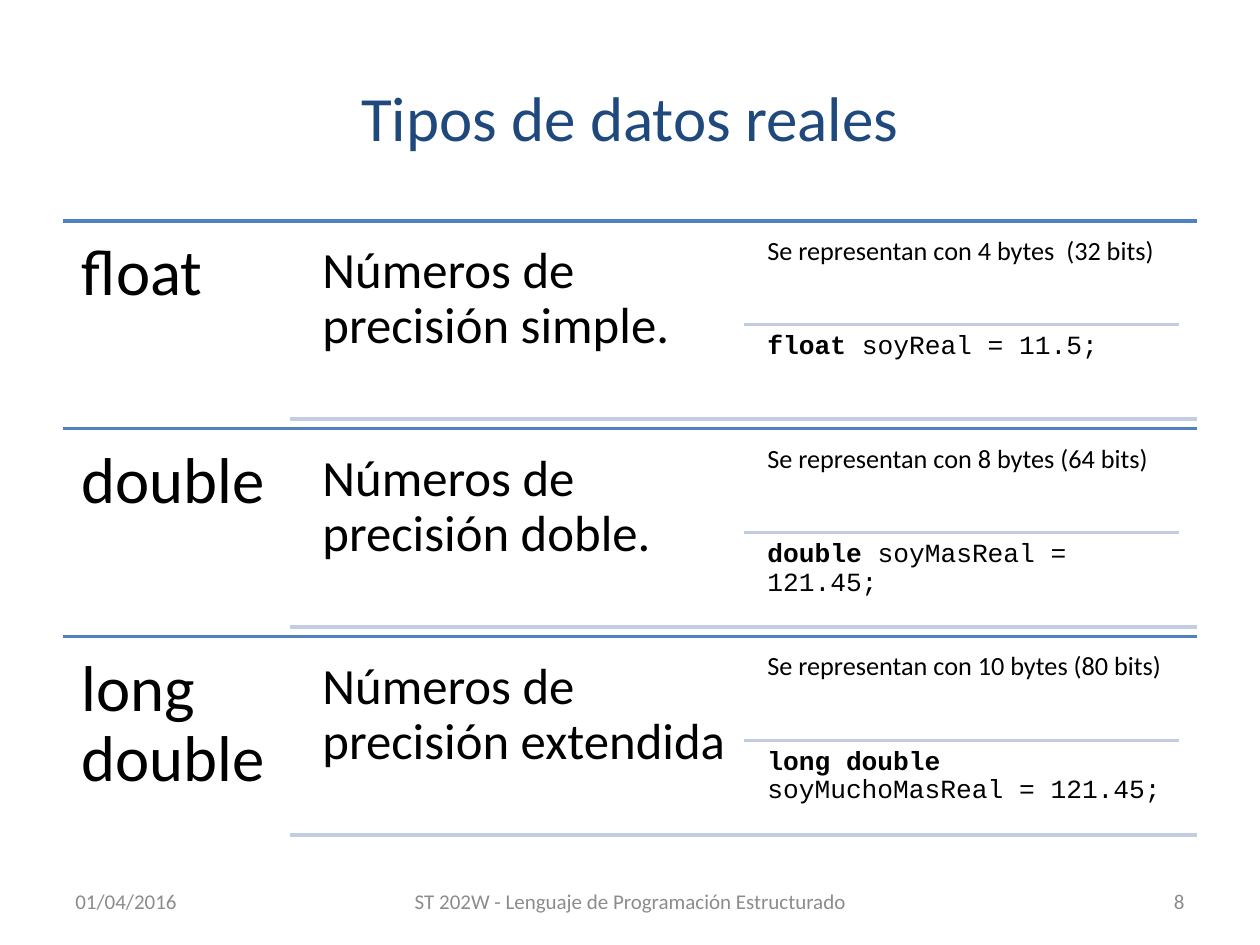
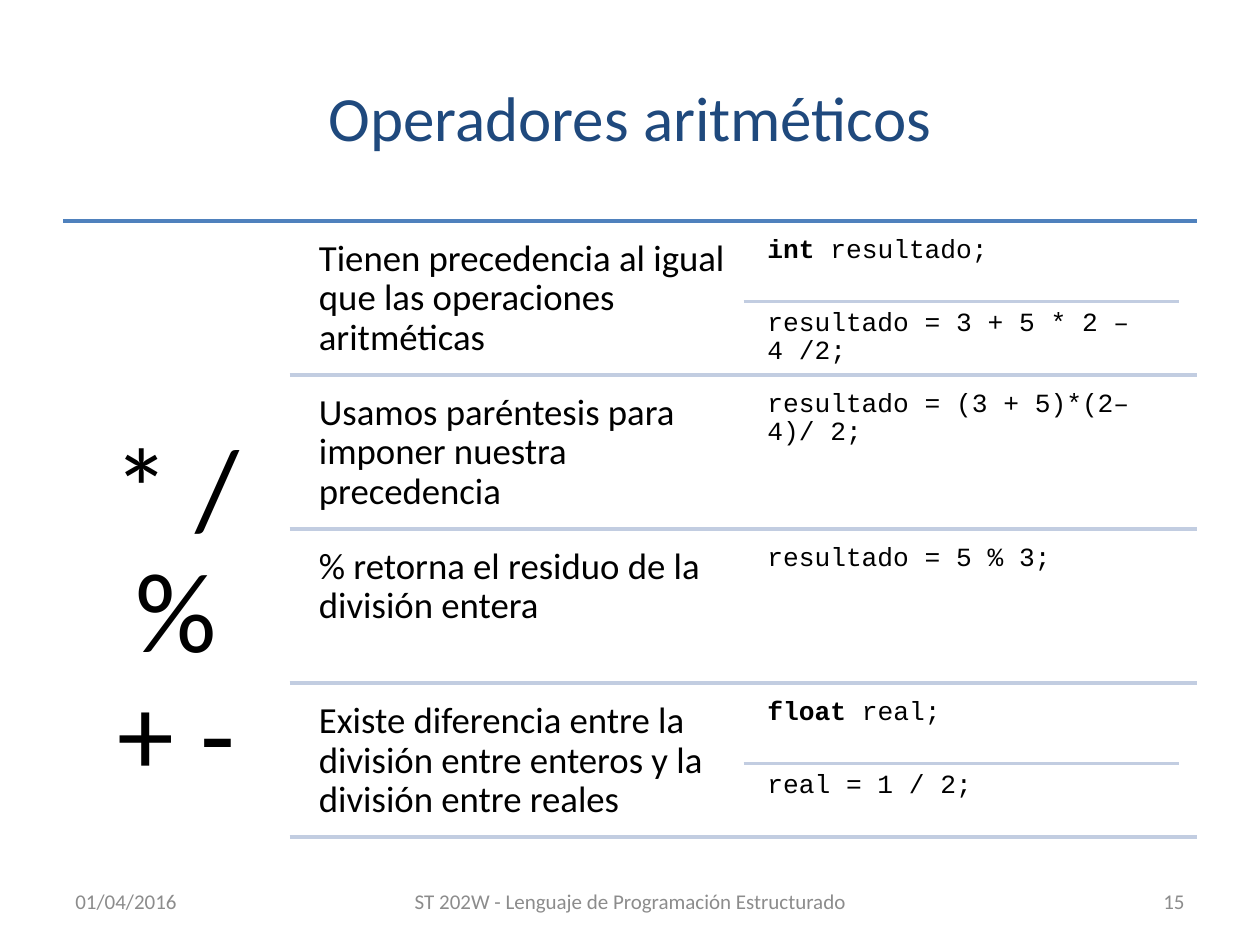
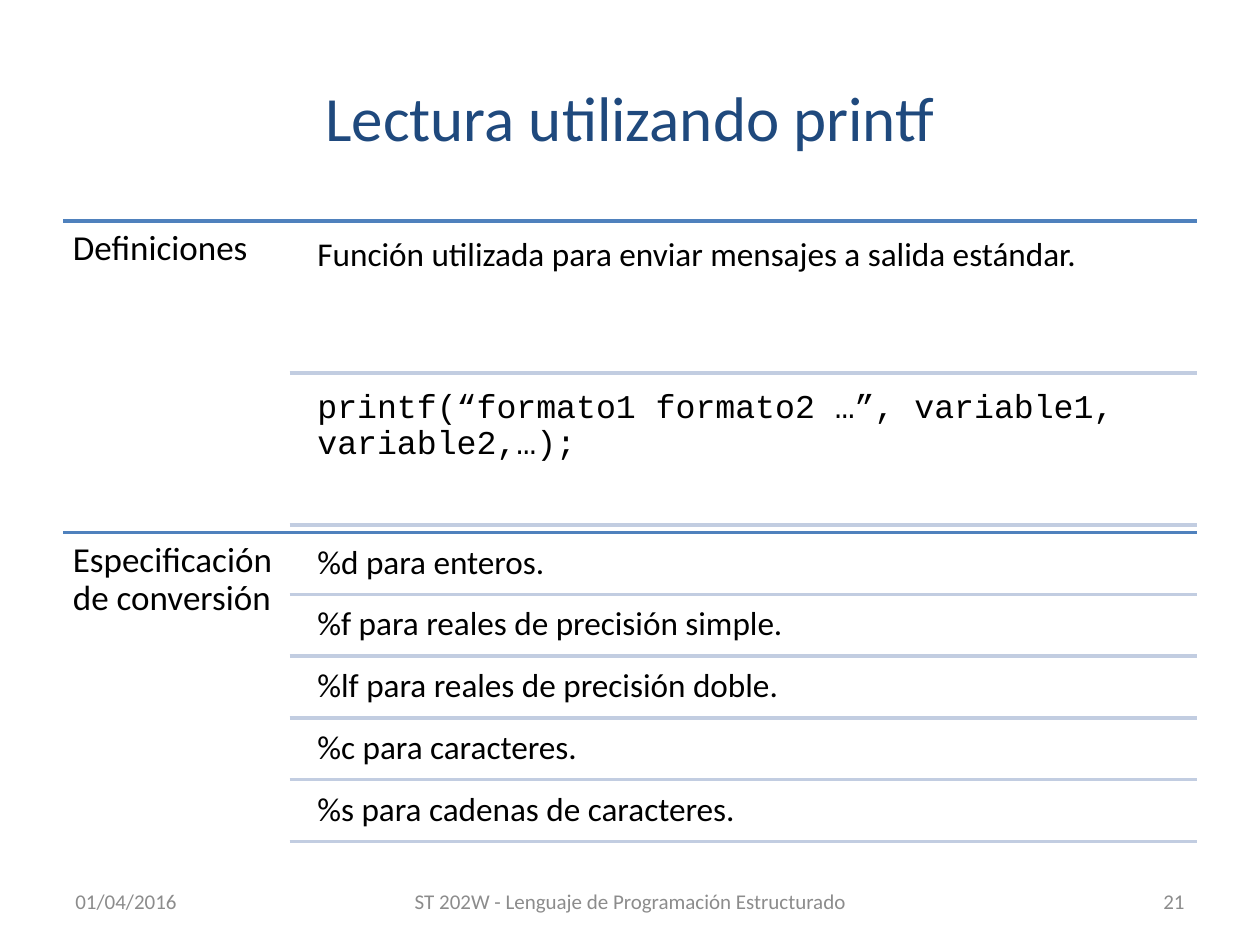
"""Build three slides on C data types, arithmetic operators and printf."""
from lxml import etree
from pptx import Presentation
from pptx import util as u
from pptx.dml.color import RGBColor
from pptx.enum import shapes, text
from pptx.oxml.ns import qn

COLORS = {"title": "1F497D", "section": "4F81BD", "row": "C2CDE1",
          "body": "000000", "footer": "8C8C8C"}
SANS, MONO = "Calibri", "Courier New"
LEFT, RIGHT, TOP, HEIGHT = 1.27, 24.13, 4.45, 12.57
ROW_LEFT, BODY_LEFT, BODY_WIDTH = 5.84, 6.2, 8.79
DETAIL_LEFT, DETAIL_LINE, DETAIL_END = 15.32, 14.99, 23.77
LABEL_WIDTH = ROW_LEFT - LEFT
GAP = 0.05
ALIGN = text.PP_ALIGN

SLIDES = [
    {"title": "Tipos de datos reales", "number": "8",
     "label": {"size": 37, "inset": 0.38},
     "body": {"size": 29, "inset": 0.3}, "width": BODY_WIDTH,
     "sections": [
         ("float", [(("", "Números de precisión simple.", SANS), [
             ("", "Se representan con 4 bytes  (32 bits)", SANS),
             ("float ", "soyReal = 11.5;", MONO)])]),
         ("double", [(("", "Números de precisión doble.", SANS), [
             ("", "Se representan con 8 bytes (64 bits)", SANS),
             ("double ", "soyMasReal = 121.45;", MONO)])]),
         ("long double", [(("", "Números de precisión extendida", SANS), [
             ("", "Se representan con 10 bytes (80 bits)", SANS),
             ("long double ", "soyMuchoMasReal = 121.45;", MONO)])]),
     ]},
    {"title": "Operadores aritméticos", "number": "15",
     "label": {"size": 65, "inset": 0.69, "top": 4.24, "align": ALIGN.CENTER},
     "body": {"size": 21, "inset": 0.23}, "width": BODY_WIDTH,
     "sections": [
         ("* / % + -", [
             (("", "Tienen precedencia al igual que las operaciones aritméticas", SANS), [
                 ("int", " resultado;", MONO),
                 ("", "resultado = 3 + 5 * 2 – 4 /2;", MONO)]),
             (("", "Usamos paréntesis para imponer nuestra precedencia", SANS), [
                 ("", "resultado = (3 + 5)*(2– 4)/ 2;", MONO)]),
             (("", "% retorna el residuo de la división entera", SANS), [
                 ("", "resultado = 5 % 3;", MONO)]),
             (("", "Existe diferencia entre la división entre enteros "
                   "y la división entre reales", SANS), [
                 ("float", " real;", MONO),
                 ("", "real = 1 / 2;", MONO)]),
         ]),
     ]},
    {"title": "Lectura utilizando printf", "number": "21",
     "label": {"size": 20, "inset": 0.2},
     "body": {"size": 19, "inset": 0.2}, "width": RIGHT - BODY_LEFT,
     "sections": [
         ("Definiciones", [
             (("", "Función utilizada para enviar mensajes a salida estándar.", SANS), []),
             (("", "printf(“formato1 formato2 …”, variable1, variable2,…);", MONO), [])]),
         ("Especificación de conversión", [
             (("", "%d para enteros.", SANS), []),
             (("", "%f para reales de precisión simple.", SANS), []),
             (("", "%lf para reales de precisión doble.", SANS), []),
             (("", "%c para caracteres.", SANS), []),
             (("", "%s para cadenas de caracteres.", SANS), [])]),
     ]},
]


def add_text(s, box, plain, bold="", font=SANS, size=15, color="body", inset=0.15,
             top=None, align=ALIGN.LEFT, anchor=text.MSO_ANCHOR.TOP, spacing=0.9, sp=None):
    box = [u.Cm(v) for v in box]
    sp = sp or s.shapes.add_textbox(*box)
    sp.left, sp.top, sp.width, sp.height = box
    tf = sp.text_frame
    tf.word_wrap = True
    tf.auto_size = text.MSO_AUTO_SIZE.NONE
    tf.vertical_anchor = anchor
    tf.margin_left = tf.margin_right = tf.margin_bottom = u.Cm(inset)
    tf.margin_top = u.Cm(inset if top is None else top)
    p = tf.paragraphs[0]
    p.alignment = align
    p.line_spacing = spacing
    for words, is_bold in ((bold, True), (plain, False)):
        if words:
            r = p.add_run()
            r.text = words
            r.font.name = font
            r.font.size = u.Pt(size)
            r.font.bold = is_bold
            r.font.color.rgb = RGBColor.from_string(COLORS[color])


def add_rule(s, x1, x2, y, color):
    line = s.shapes.add_connector(shapes.MSO_CONNECTOR.STRAIGHT,
                                  u.Cm(x1), u.Cm(y), u.Cm(x2), u.Cm(y))
    line.line.color.rgb = RGBColor.from_string(COLORS[color])
    line.line.width = u.Pt(2)
    etree.SubElement(line._element.spPr, qn("a:effectLst"))


prs = Presentation()
prs.slide_width, prs.slide_height = u.Cm(25.4), u.Cm(19.05)
middle = text.MSO_ANCHOR.MIDDLE

for page in SLIDES:
    s = prs.slides.add_slide(prs.slide_layouts[5])
    add_text(s, (LEFT, 0.76, RIGHT - LEFT, 3.18), page["title"], size=36, color="title",
             align=ALIGN.CENTER, anchor=middle, spacing=1, sp=s.shapes.title)

    section_height = HEIGHT / len(page["sections"])
    for i, (label, rows) in enumerate(page["sections"]):
        section_top = TOP + i * section_height
        add_rule(s, LEFT, RIGHT, section_top, "section")
        add_text(s, (LEFT, section_top, LABEL_WIDTH, section_height), label, **page["label"])

        row_height = section_height / (len(rows) * (1 + GAP) + GAP)
        for j, ((bold, plain, font), details) in enumerate(rows):
            y = section_top + row_height * (GAP + j * (1 + GAP))
            add_text(s, (BODY_LEFT, y, page["width"], row_height), plain, bold, font,
                     **page["body"])
            for k, (bold, plain, font) in enumerate(details):
                detail_height = row_height / len(details)
                detail_top = y + k * detail_height
                if k:
                    add_rule(s, DETAIL_LINE, DETAIL_END, detail_top, "row")
                add_text(s, (DETAIL_LEFT, detail_top, BODY_WIDTH, detail_height),
                         plain, bold, font)
            add_rule(s, ROW_LEFT, RIGHT, y + row_height, "row")

    for x, width, words, align in (
            (LEFT, 5.92, "01/04/2016", ALIGN.LEFT),
            (8.05, 9.32, "ST 202W - Lenguaje de Programación Estructurado", ALIGN.CENTER),
            (18.21, 5.92, page["number"], ALIGN.RIGHT)):
        add_text(s, (x, 17.65, width, 1.02), words, size=12, color="footer", inset=0.25,
                 align=align, anchor=middle, spacing=1)

prs.save("out.pptx")
